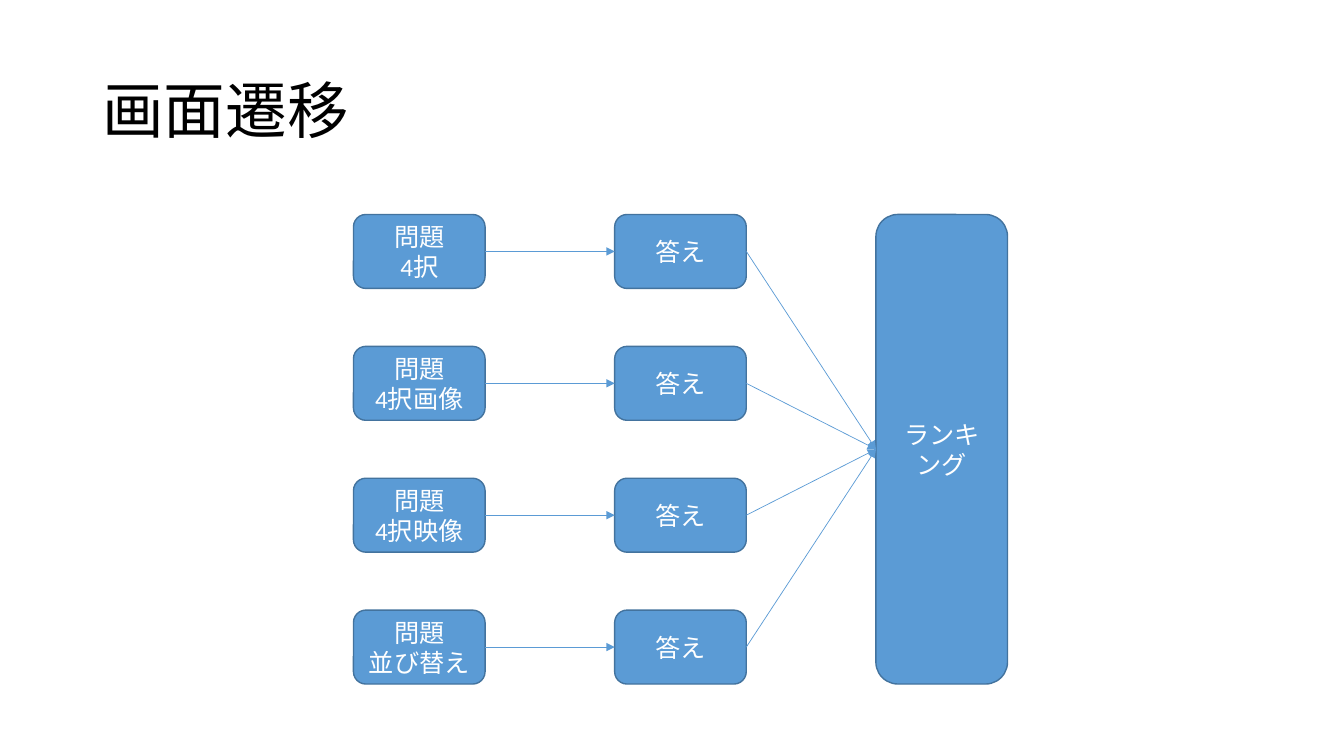
from dataclasses import dataclass

from lxml import etree
from pptx import Presentation
from pptx.dml.color import RGBColor
from pptx.enum.shapes import MSO_CONNECTOR, MSO_SHAPE
from pptx.enum.text import MSO_ANCHOR, PP_ALIGN
from pptx.oxml.ns import qn
from pptx.shapes.autoshape import Shape
from pptx.slide import Slide
from pptx.text.text import TextFrame
from pptx.util import Pt

ROUNDED = MSO_SHAPE.ROUNDED_RECTANGLE
STRAIGHT = MSO_CONNECTOR.STRAIGHT
MIDDLE = MSO_ANCHOR.MIDDLE
LEFT, CENTER = PP_ALIGN.LEFT, PP_ALIGN.CENTER
LEFT_SIDE, RIGHT_SIDE = 1, 3

COLORS = {"title": "000000", "fill": "5B9BD5", "outline": "43739E", "label": "FFFFFF"}
FONT = "Calibri"

BOX_WIDTH, BOX_HEIGHT = 94, 52.8
FIRST_LEFT, COLUMN_STEP = 252.5, 186.6
FIRST_TOP, ROW_STEP = 153.2, 94.2
QUESTION_TYPES = ["4択", "4択画像", "4択映像", "並び替え"]


@dataclass
class Screen:
    lines: list[str]
    column: int
    row: int
    row_span: int = 1


def color(name: str) -> RGBColor:
    return RGBColor.from_string(COLORS[name])


def write_lines(frame: TextFrame, lines: list[str], size: float, color_name: str,
                alignment: PP_ALIGN, spacing: float = 1.0) -> None:
    frame.word_wrap = True
    frame.vertical_anchor = MIDDLE
    frame.text = "\n".join(lines)
    for paragraph in frame.paragraphs:
        paragraph.alignment = alignment
        paragraph.line_spacing = spacing
        paragraph.font.name = FONT
        paragraph.font.size = Pt(size)
        paragraph.font.color.rgb = color(color_name)


def add_title(page: Slide, title: str) -> None:
    box = page.shapes.add_textbox(Pt(66), Pt(28.75), Pt(828), Pt(104.4))
    write_lines(box.text_frame, [title], 44, "title", LEFT, 0.9)


def add_screen(page: Slide, screen: Screen) -> Shape:
    box = page.shapes.add_shape(
        ROUNDED,
        Pt(FIRST_LEFT + screen.column * COLUMN_STEP),
        Pt(FIRST_TOP + screen.row * ROW_STEP),
        Pt(BOX_WIDTH),
        Pt(BOX_HEIGHT + (screen.row_span - 1) * ROW_STEP),
    )
    box.shadow.inherit = False
    box.fill.solid()
    box.fill.fore_color.rgb = color("fill")
    box.line.color.rgb = color("outline")
    box.line.width = Pt(1)
    write_lines(box.text_frame, screen.lines, 18, "label", CENTER)
    return box


def add_arrow(page: Slide, source: Shape, target: Shape) -> None:
    """Point from the right side of source to the left side of target."""
    arrow = page.shapes.add_connector(STRAIGHT, 0, 0, 0, 0)
    arrow.begin_connect(source, RIGHT_SIDE)
    arrow.end_connect(target, LEFT_SIDE)
    arrow.line.color.rgb = color("fill")
    arrow.line.width = Pt(0.5)
    outline = arrow.line._get_or_add_ln()
    etree.SubElement(outline, qn("a:tailEnd"), type="triangle")
    etree.SubElement(outline.getparent(), qn("a:effectLst"))


def main() -> None:
    deck = Presentation()
    deck.slide_width, deck.slide_height = Pt(960), Pt(540)
    page = deck.slides.add_slide(deck.slide_layouts[6])

    add_title(page, "画面遷移")
    ranking = add_screen(page, Screen(["ランキング"], 2, 0, len(QUESTION_TYPES)))
    for row, question_type in enumerate(QUESTION_TYPES):
        question = add_screen(page, Screen(["問題", question_type], 0, row))
        answer = add_screen(page, Screen(["答え"], 1, row))
        add_arrow(page, question, answer)
        add_arrow(page, answer, ranking)

    deck.save("out.pptx")


if __name__ == "__main__":
    main()
